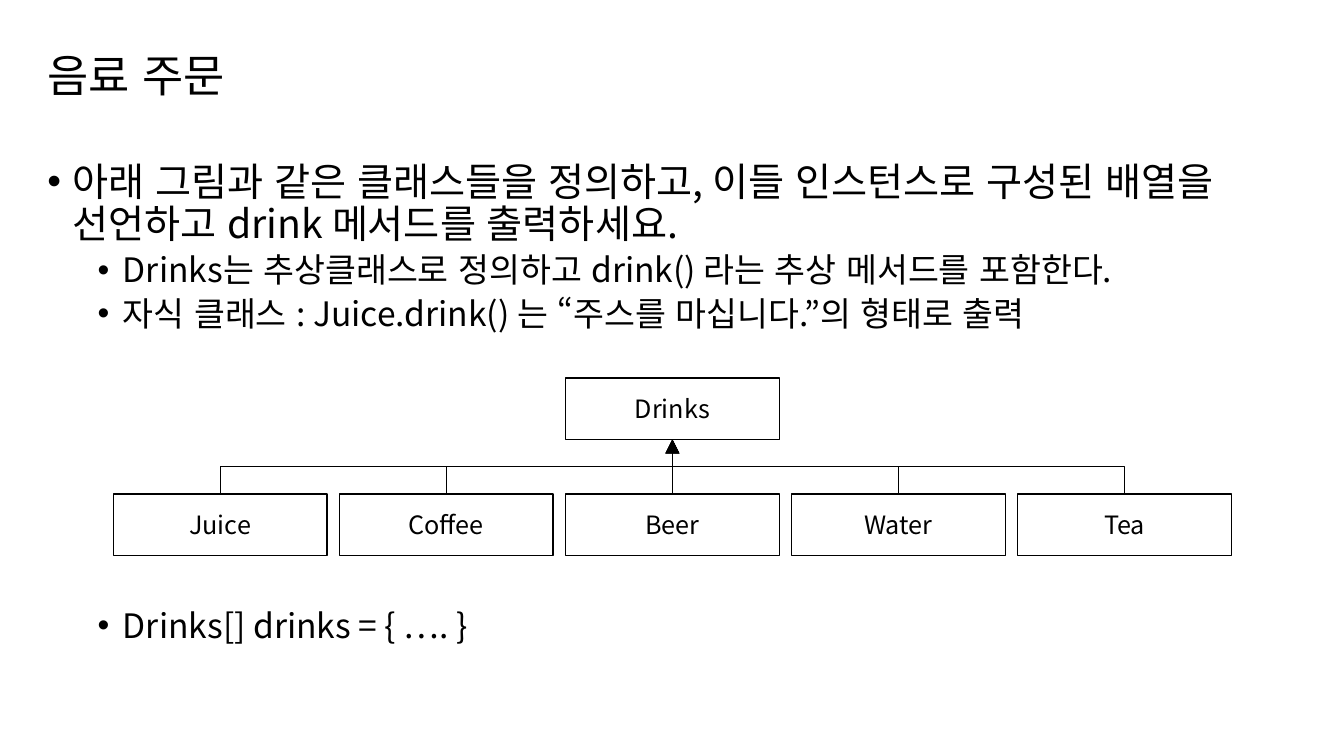
import dataclasses

import lxml.etree
import pptx
import pptx.dml.color
import pptx.enum.lang
import pptx.enum.shapes
import pptx.enum.text
import pptx.oxml.ns
import pptx.util

Pt = pptx.util.Pt
BLACK = pptx.dml.color.RGBColor(0x00, 0x00, 0x00)
WHITE = pptx.dml.color.RGBColor(0xFF, 0xFF, 0xFF)
FONT = "Noto Sans CJK KR"
LINE_SPACING = 0.9

BOX_WIDTH, BOX_HEIGHT = 152.8, 44
FIRST_LEFT, BOX_PITCH = 80.9, 161.5
PARENT_TOP, CHILD_TOP = 270, 352.8
CHILD_NAMES = ("Juice", "Coffee", "Beer", "Water", "Tea")


@dataclasses.dataclass(frozen=True)
class Bullet:
    text: str
    level: int
    size: float
    indent: float
    space_before: float


BULLETS = (
    Bullet("아래 그림과 같은 클래스들을 정의하고, 이들 인스턴스로 구성된 배열을 선언하고 drink 메서드를 출력하세요.", 0, 28, 18, 10),
    Bullet("Drinks는 추상클래스로 정의하고 drink() 라는 추상 메서드를 포함한다.", 1, 24, 54, 5),
    Bullet("자식 클래스 : Juice.drink() 는 “주스를 마십니다.”의 형태로 출력", 1, 24, 54, 5),
    Bullet("Drinks[] drinks = { …. }", 1, 24, 54, 197),
)


def add_element(parent, tag: str, **attributes: str):
    element = lxml.etree.SubElement(parent, pptx.oxml.ns.qn(tag))
    for name, value in attributes.items():
        element.set(name, value)
    return element


def format_runs(paragraph, size: float) -> None:
    for run in paragraph.runs:
        run.font.size = Pt(size)
        run.font.name = FONT
        run.font.color.rgb = BLACK
        run.font.language_id = pptx.enum.lang.MSO_LANGUAGE_ID.KOREAN


def place(shape, left: float, top: float, width: float, height: float) -> None:
    shape.left, shape.top = Pt(left), Pt(top)
    shape.width, shape.height = Pt(width), Pt(height)


def fill_title(title) -> None:
    place(title, 26.6, 28.8, 906.5, 54)
    frame = title.text_frame
    frame.text = "음료 주문"
    frame.auto_size = pptx.enum.text.MSO_AUTO_SIZE.NONE
    frame.vertical_anchor = pptx.enum.text.MSO_ANCHOR.MIDDLE
    paragraph = frame.paragraphs[0]
    paragraph.alignment = pptx.enum.text.PP_ALIGN.LEFT
    paragraph.line_spacing = LINE_SPACING
    format_runs(paragraph, 32)


def fill_body(body) -> None:
    place(body, 26.6, 112.3, 906.5, 373.7)
    frame = body.text_frame
    frame.text = "\n".join(bullet.text for bullet in BULLETS)
    frame.auto_size = pptx.enum.text.MSO_AUTO_SIZE.NONE
    for paragraph, bullet in zip(frame.paragraphs, BULLETS):
        paragraph.level = bullet.level
        paragraph.line_spacing = LINE_SPACING
        paragraph.space_before = Pt(bullet.space_before)
        properties = paragraph._p.get_or_add_pPr()
        properties.set("marL", str(Pt(bullet.indent)))
        properties.set("indent", str(Pt(-18)))
        add_element(properties, "a:buFont", typeface="Arial")
        add_element(properties, "a:buChar", char="•")
        format_runs(paragraph, bullet.size)


def add_class_box(slide, name: str, column: int, top: float):
    box = slide.shapes.add_shape(
        pptx.enum.shapes.MSO_SHAPE.RECTANGLE,
        Pt(FIRST_LEFT + column * BOX_PITCH), Pt(top), Pt(BOX_WIDTH), Pt(BOX_HEIGHT),
    )
    box.shadow.inherit = False
    box.fill.solid()
    box.fill.fore_color.rgb = WHITE
    box.line.color.rgb = BLACK
    box.line.width = Pt(1)
    box.text_frame.text = name
    box.text_frame.vertical_anchor = pptx.enum.text.MSO_ANCHOR.MIDDLE
    paragraph = box.text_frame.paragraphs[0]
    paragraph.alignment = pptx.enum.text.PP_ALIGN.CENTER
    format_runs(paragraph, 18)
    return box


def add_inheritance_arrow(slide, child, parent) -> None:
    """Join child top to parent bottom with an elbow turned to leave upwards."""
    start_x, end_x = child.left + child.width // 2, parent.left + parent.width // 2
    start_y, end_y = child.top, parent.top + parent.height
    connector = slide.shapes.add_connector(
        pptx.enum.shapes.MSO_CONNECTOR.ELBOW, start_x, start_y, end_x, end_y
    )
    connector.begin_connect(child, 0)
    connector.end_connect(parent, 2)

    length, spread = start_y - end_y, abs(end_x - start_x)
    connector.left = (start_x + end_x - length) // 2
    connector.top = (start_y + end_y - spread) // 2
    connector.width, connector.height = length, spread
    rightward = end_x >= start_x
    properties = connector._element.spPr
    transform = properties.find(pptx.oxml.ns.qn("a:xfrm"))
    transform.set("rot", "5400000" if rightward else "16200000")
    transform.set("flipH", "1" if rightward else "0")
    transform.set("flipV", "1")

    connector.line.color.rgb = BLACK
    connector.line.width = Pt(0.5)
    outline = connector.line._get_or_add_ln()
    add_element(outline, "a:tailEnd", type="triangle", w="lg", len="lg")
    add_element(properties, "a:effectLst")


def main() -> None:
    presentation = pptx.Presentation()
    presentation.slide_width, presentation.slide_height = Pt(960), Pt(540)
    slide = presentation.slides.add_slide(presentation.slide_layouts[1])
    fill_title(slide.shapes.title)
    fill_body(slide.placeholders[1])

    parent = add_class_box(slide, "Drinks", len(CHILD_NAMES) // 2, PARENT_TOP)
    children = [
        add_class_box(slide, name, column, CHILD_TOP)
        for column, name in enumerate(CHILD_NAMES)
    ]
    for child in children:
        add_inheritance_arrow(slide, child, parent)
    presentation.save("out.pptx")


if __name__ == "__main__":
    main()
